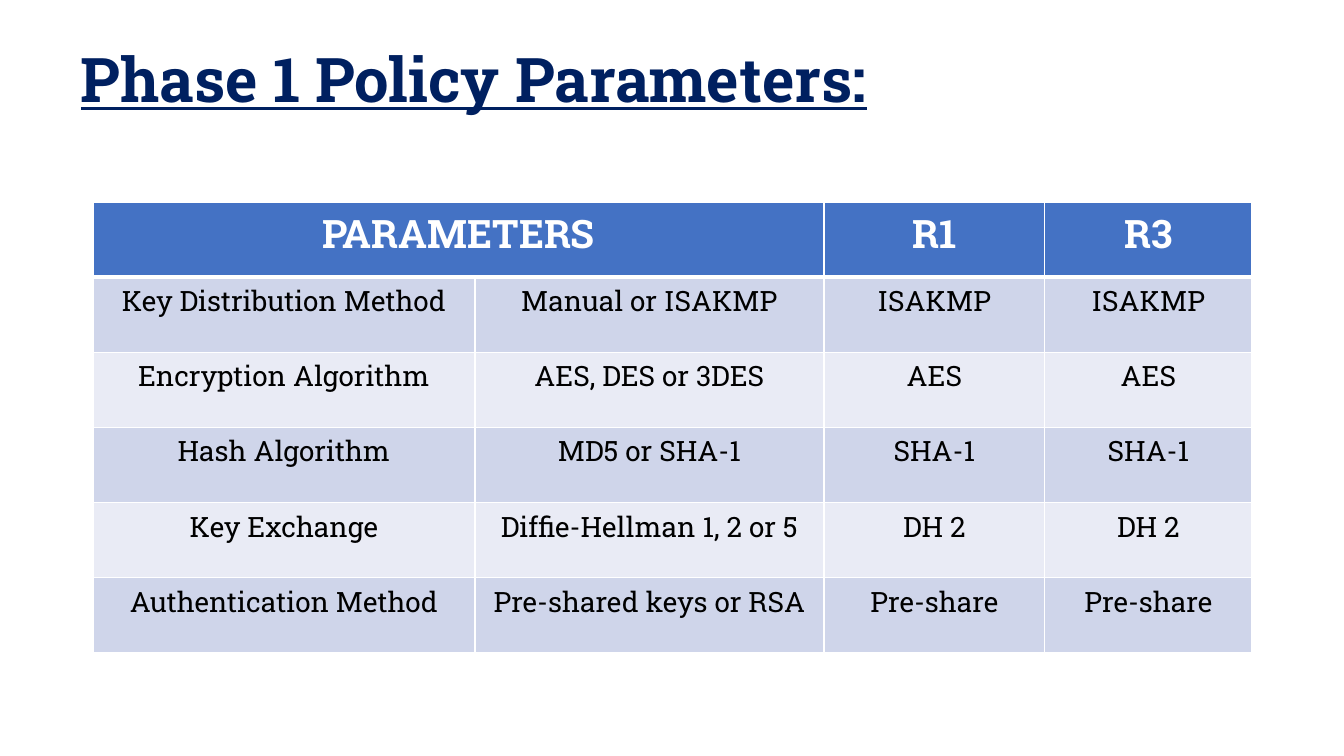
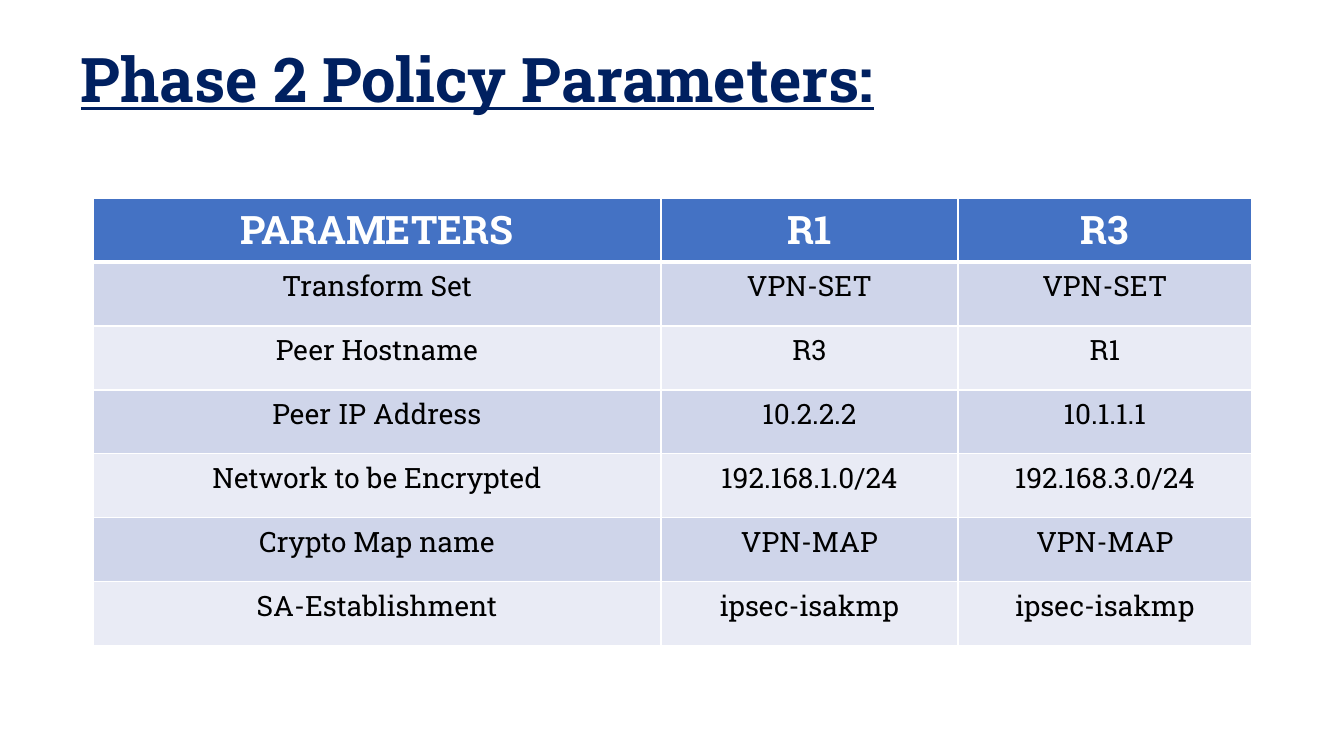
import pptx
import pptx.util
import pptx.dml.color
import pptx.enum.text
import pptx.oxml
import pptx.oxml.ns

PX = 914400 / 100.8
FONT = "Roboto Slab"
NAVY, BLUE, WHITE, BLACK = "002060", "4472C4", "FFFFFF", "000000"
BANDS = ["E9EBF5", "CFD5EA"]


def px(*nums):
    return [pptx.util.Emu(round(num * PX)) for num in nums]


def style(para, size, hue, bold, line=False):
    for run in para.runs:
        font = run.font
        font.name = FONT
        font.size = pptx.util.Pt(size)
        font.bold = bold
        font.underline = line
        font.color.rgb = pptx.dml.color.RGBColor.from_string(hue)


pages = [
    ("Phase 1 Policy Parameters:", 202, 451, [382, 349, 221, 207], [
        ["PARAMETERS", "", "R1", "R3"],
        ["Key Distribution Method", "Manual or ISAKMP", "ISAKMP", "ISAKMP"],
        ["Encryption Algorithm", "AES, DES or 3DES", "AES", "AES"],
        ["Hash Algorithm", "MD5 or SHA-1", "SHA-1", "SHA-1"],
        ["Key Exchange", "Diffie-Hellman 1, 2 or 5", "DH 2", "DH 2"],
        ["Authentication Method", "Pre-shared keys or RSA", "Pre-share", "Pre-share"],
    ]),
    ("Phase 2 Policy Parameters:", 198, 448, [568, 297, 294], [
        ["PARAMETERS", "R1", "R3"],
        ["Transform Set", "VPN-SET", "VPN-SET"],
        ["Peer Hostname", "R3", "R1"],
        ["Peer IP Address", "10.2.2.2", "10.1.1.1"],
        ["Network to be Encrypted", "192.168.1.0/24", "192.168.3.0/24"],
        ["Crypto Map name", "VPN-MAP", "VPN-MAP"],
        ["SA-Establishment", "ipsec-isakmp", "ipsec-isakmp"],
    ]),
]

deck = pptx.Presentation()
deck.slide_width, deck.slide_height = px(1344, 756)

for title, top, high, cols, rows in pages:
    slide = deck.slides.add_slide(deck.slide_layouts[6])
    box = slide.shapes.add_textbox(*px(71, 40, 1224, 85))
    frame = box.text_frame
    frame.word_wrap = True
    frame.vertical_anchor = pptx.enum.text.MSO_ANCHOR.MIDDLE
    frame.text = title
    frame.paragraphs[0].line_spacing = 0.9
    style(frame.paragraphs[0], 44, NAVY, True, True)

    area = px(93, top, sum(cols), high)
    table = slide.shapes.add_table(len(rows), len(cols), *area).table
    for col, wide in zip(table.columns, px(*cols)):
        col.width = wide
    for r, row in enumerate(rows):
        head = r == 0
        for c, text in enumerate(row):
            cell = table.cell(r, c)
            cell.text = text
            para = cell.text_frame.paragraphs[0]
            para.alignment = pptx.enum.text.PP_ALIGN.CENTER
            style(para, 28 if head else 20, WHITE if head else BLACK, head)
            cell.fill.solid()
            hue = BLUE if head else BANDS[r % 2]
            cell.fill.fore_color.rgb = pptx.dml.color.RGBColor.from_string(hue)
            props = cell._tc.get_or_add_tcPr()
            for spot, side in enumerate(["lnL", "lnR", "lnT", "lnB"]):
                thick = (r, side) in [(0, "lnB"), (1, "lnT")]
                edge = pptx.oxml.parse_xml(
                    f'<a:{side} {pptx.oxml.ns.nsdecls("a")} w="{pptx.util.Pt(3 if thick else 1)}">'
                    f'<a:solidFill><a:srgbClr val="{WHITE}"/></a:solidFill></a:{side}>')
                props.insert(spot, edge)
    if not rows[0][1]:
        table.cell(0, 0).merge(table.cell(0, 1))

deck.save("out.pptx")
